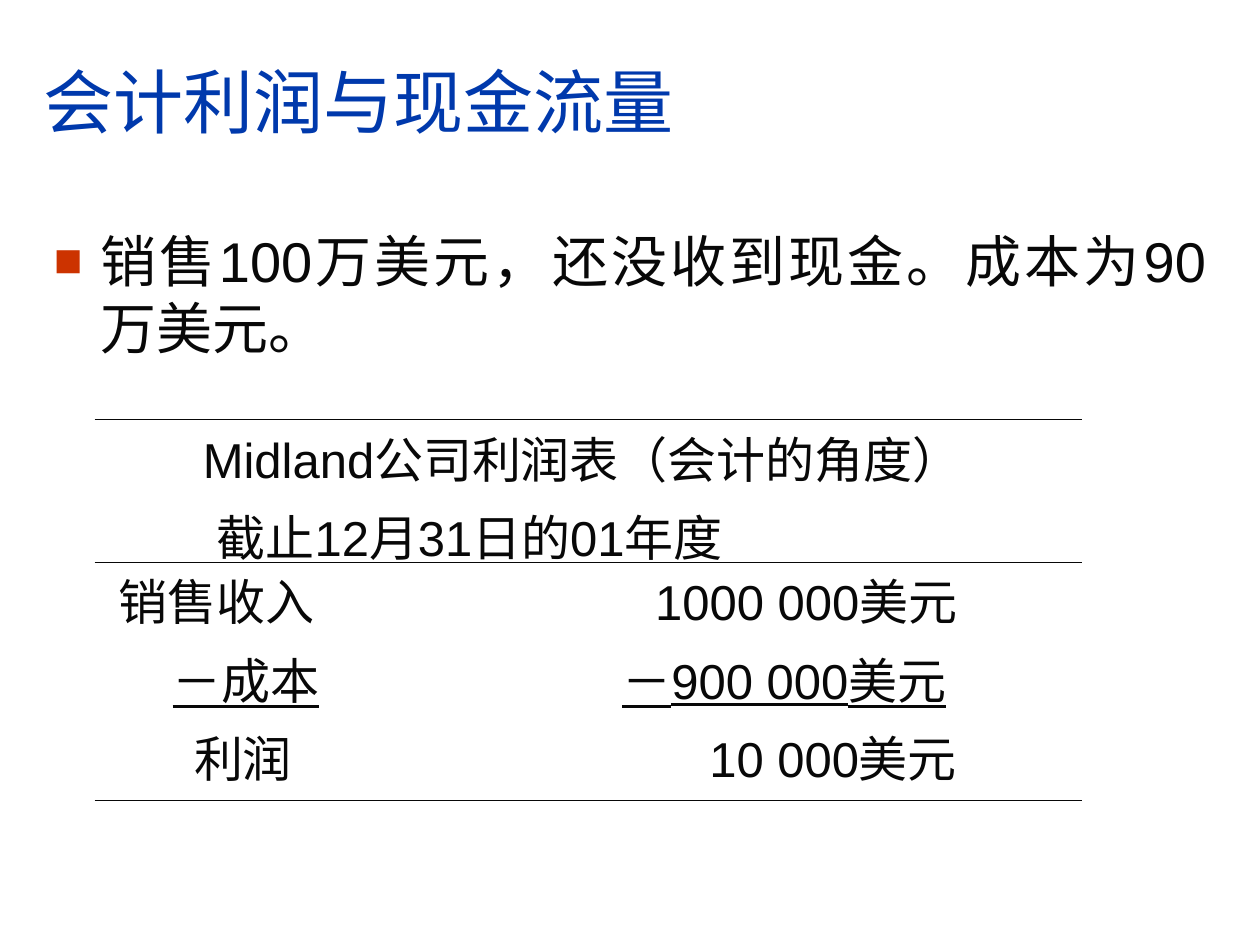
from lxml import etree
from pptx import Presentation
from pptx.dml.color import RGBColor
from pptx.enum.text import MSO_ANCHOR, PP_ALIGN
from pptx.oxml.ns import qn
from pptx.util import Inches, Pt

JUSTIFY = PP_ALIGN.JUSTIFY
LEFT = PP_ALIGN.LEFT
MIDDLE = MSO_ANCHOR.MIDDLE
TOP = MSO_ANCHOR.TOP
COLORS = {"title": "0039AC", "text": "080808", "bullet": "CC3300"}
BORDER_TAGS = {"left": "a:lnL", "right": "a:lnR", "top": "a:lnT", "bottom": "a:lnB"}


def add_element(parent, tag, **attributes):
    return etree.SubElement(parent, qn(tag), **attributes)


class SlideBuilder:
    font_name = "Arial"
    bullet_indent = Inches(0.37)

    def __init__(self, slide):
        self.slide = slide

    def add_run(self, paragraph, text, size, color="text", underline=None):
        run = paragraph.add_run()
        run.text = text
        run.font.name = self.font_name
        run.font.size = Pt(size)
        run.font.underline = underline
        run.font.color.rgb = RGBColor.from_string(COLORS[color])

    def add_text(self, left, top, width, height, text, size,
                 color="text", anchor=TOP, bullet=False):
        shape = self.slide.shapes.add_textbox(
            Inches(left), Inches(top), Inches(width), Inches(height))
        frame = shape.text_frame
        frame.word_wrap = True
        frame.vertical_anchor = anchor
        paragraph = frame.paragraphs[0]
        paragraph.alignment = JUSTIFY if bullet else LEFT
        if bullet:
            self.set_bullet(paragraph)
        self.add_run(paragraph, text, size, color)

    def set_bullet(self, paragraph):
        properties = paragraph._p.get_or_add_pPr()
        properties.set("marL", str(self.bullet_indent))
        properties.set("indent", str(-self.bullet_indent))
        color = add_element(properties, "a:buClr")
        add_element(color, "a:srgbClr", val=COLORS["bullet"])
        add_element(properties, "a:buSzPct", val="85000")
        add_element(properties, "a:buFont", typeface=self.font_name)
        add_element(properties, "a:buChar", char="■")

    def add_table(self, left, top, column_widths, row_heights):
        table = self.slide.shapes.add_table(
            len(row_heights), len(column_widths), Inches(left), Inches(top),
            Inches(sum(column_widths)), Inches(sum(row_heights))).table
        table.first_row = False
        table.horz_banding = False
        for column, width in zip(table.columns, column_widths):
            column.width = Inches(width)
        for row, height in zip(table.rows, row_heights):
            row.height = Inches(height)
        return table

    def style_cell(self, cell, lines):
        """lines maps a side to its width in points; other sides stay bare."""
        properties = cell._tc.get_or_add_tcPr()
        for side, tag in BORDER_TAGS.items():
            if side in lines:
                border = add_element(properties, tag, w=str(Pt(lines[side])))
                fill = add_element(border, "a:solidFill")
                add_element(fill, "a:srgbClr", val=COLORS["text"])
            else:
                border = add_element(properties, tag, w="0")
                add_element(border, "a:noFill")
        cell.fill.background()

    def fill_cell(self, cell, rows):
        """Each row is (indent in inches, text, underlined)."""
        frame = cell.text_frame
        for index, (indent, text, underlined) in enumerate(rows):
            paragraph = frame.paragraphs[0] if index == 0 else frame.add_paragraph()
            paragraph.alignment = JUSTIFY
            paragraph.line_spacing = 0.93
            paragraph.space_before = Pt(7 if index else 0)
            properties = paragraph._p.get_or_add_pPr()
            if underlined:
                # The rule runs from the cell edge, so the gap is an underlined tab
                tabs = add_element(properties, "a:tabLst")
                add_element(tabs, "a:tab", pos=str(Inches(indent)), algn="l")
                text = "\t" + text
            else:
                properties.set("marL", str(Inches(indent)))
                properties.set("indent", "0")
            self.add_run(paragraph, text, 28, underline=underlined or None)


def main():
    presentation = Presentation()
    presentation.slide_width = Inches(10)
    presentation.slide_height = Inches(7.5)
    builder = SlideBuilder(
        presentation.slides.add_slide(presentation.slide_layouts[6]))

    # Title and statement
    builder.add_text(0.25, 0.17, 9.34, 1.25, "会计利润与现金流量", 40,
                     color="title", anchor=MIDDLE)
    builder.add_text(0.33, 1.75, 9.34, 5.25,
                     "销售100万美元，还没收到现金。成本为90万美元。", 32, bullet=True)

    # Income statement
    table = builder.add_table(0.75, 3.33, [3.92, 3.92], [1.13, 1.89])
    thin = 0.25
    borders = [
        [{"top": 0.5, "bottom": thin}, {"top": 0.5}],
        [{"top": thin, "bottom": thin}, {"bottom": thin}],
    ]
    for row_index, row_borders in enumerate(borders):
        for column_index, lines in enumerate(row_borders):
            builder.style_cell(table.cell(row_index, column_index), lines)
    table.cell(0, 0).merge(table.cell(0, 1))

    builder.fill_cell(table.cell(0, 0), [
        (0.76, "Midland公司利润表（会计的角度）", False),
        (0.87, "截止12月31日的01年度", False),
    ])
    builder.fill_cell(table.cell(1, 0), [
        (0.09, "销售收入", False),
        (0.52, "－成本", True),
        (0.69, "利润", False),
    ])
    builder.fill_cell(table.cell(1, 1), [
        (0.43, "1000 000美元", False),
        (0.17, "－900 000美元", True),
        (0.86, "10 000美元", False),
    ])

    presentation.save("out.pptx")


if __name__ == "__main__":
    main()
